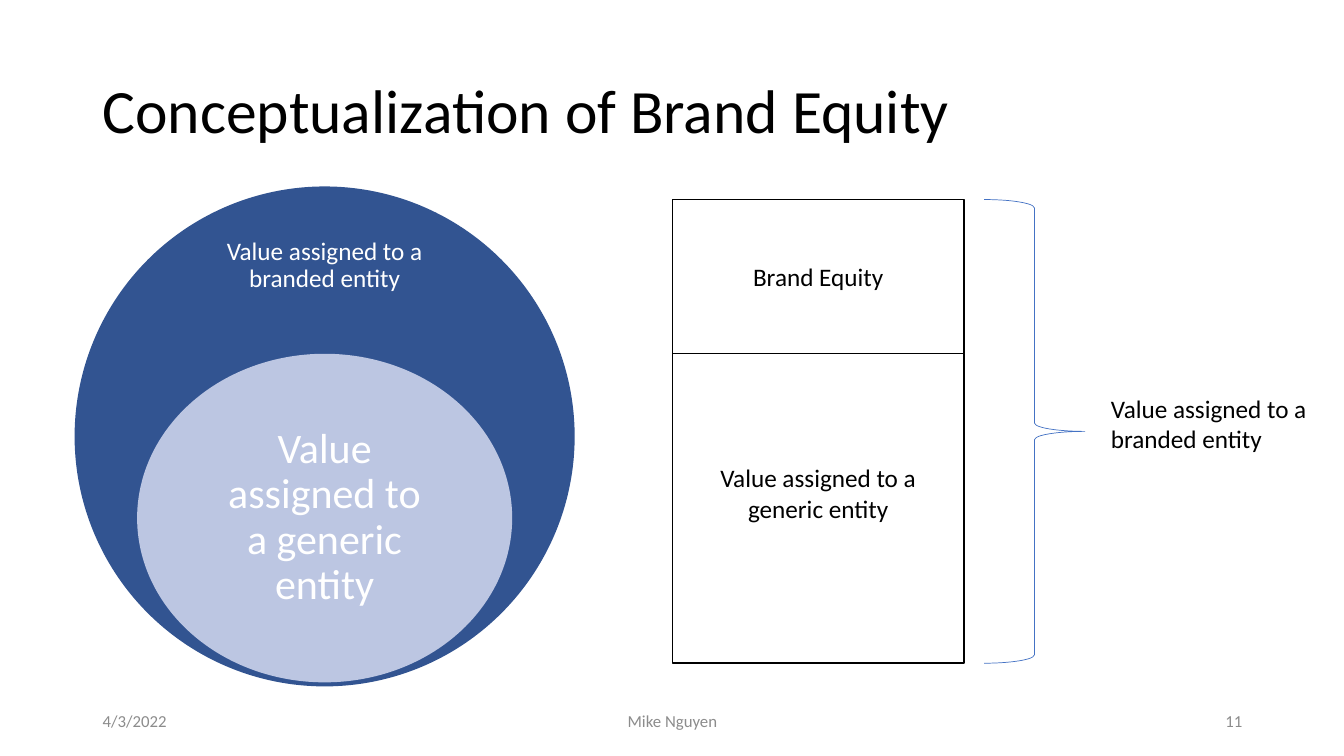
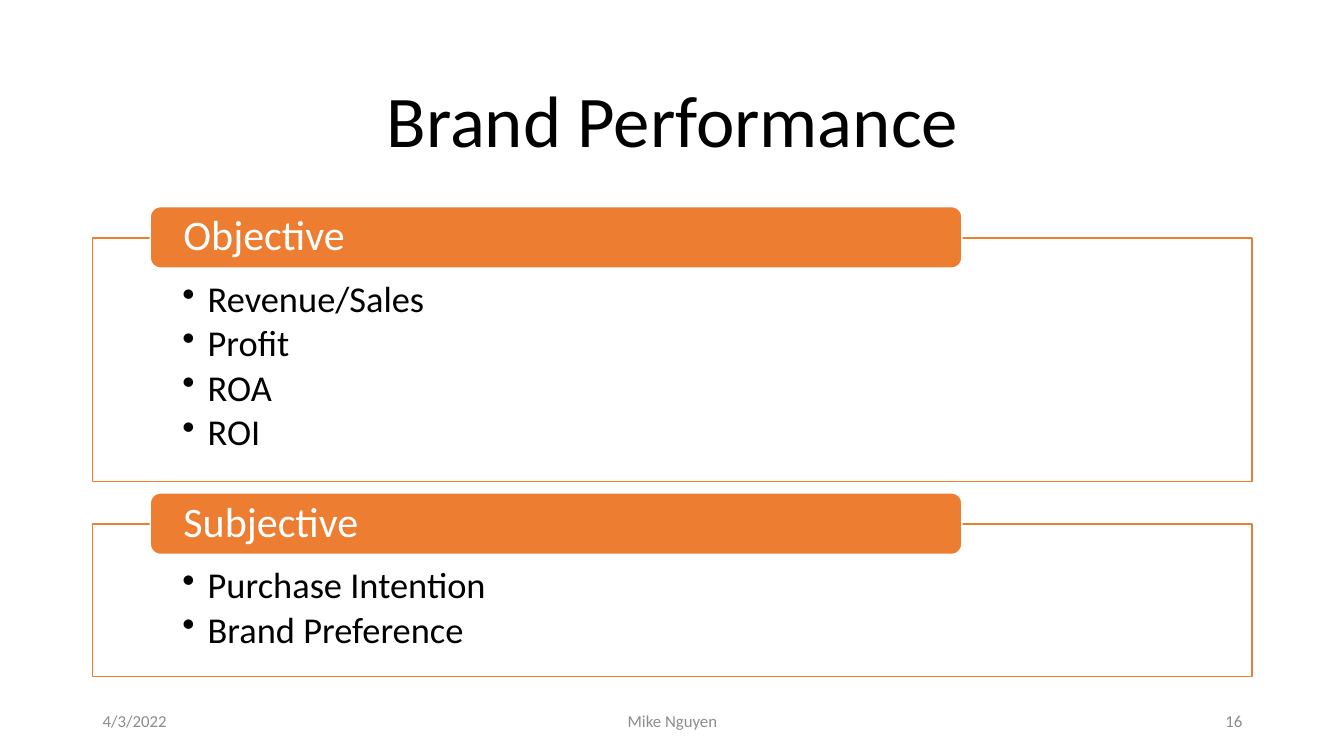
from pptx import Presentation
from pptx.dml.color import RGBColor
from pptx.enum.shapes import MSO_SHAPE as Shape
from pptx.enum.text import MSO_ANCHOR as Anchor, PP_ALIGN as Align
from pptx.oxml.ns import qn
from pptx.util import Pt
from lxml.etree import SubElement

COLORS = {
    "black": "000000", "white": "FFFFFF", "gray": "8C8C8C", "navy": "325491",
    "lavender": "BCC6E2", "blue": "4472C4", "orange": "ED7D31",
}
FONT = "Calibri"
EMU_PER_PX = 9144
SLIDE_SIZE = (1333, 750)
MARGIN = 92
CONTENT_WIDTH = 1150
DATE = "4/3/2022"
AUTHOR = "Mike Nguyen"


def px(length):
    return length * EMU_PER_PX


def color(name):
    return RGBColor.from_string(COLORS[name])


class Deck:
    """Hold the shared style and the slide being built."""

    def __init__(self):
        self.presentation = Presentation()
        self.presentation.slide_width, self.presentation.slide_height = map(px, SLIDE_SIZE)
        self.slide = None

    def new_slide(self, title, number, top=40, size=44, align=Align.LEFT):
        self.slide = self.presentation.slides.add_slide(self.presentation.slide_layouts[6])
        self.text(title, (MARGIN, top, CONTENT_WIDTH, 185 - top), size, align=align, spacing=0.9)
        footers = [
            (DATE, MARGIN, 300, Align.LEFT),
            (AUTHOR, 442, 450, Align.CENTER),
            (str(number), 942, 300, Align.RIGHT),
        ]
        for text, left, width, side in footers:
            self.text(text, (left, 695, width, 40), 12, "gray", side)

    def text(self, text, box, size, ink="black", align=Align.LEFT, **style):
        textbox = self.slide.shapes.add_textbox(*map(px, box))
        self.set_text(textbox, [text], size, ink, align, **style)

    def shape(self, kind, box, fill=None, line=None, line_width=1):
        shape = self.slide.shapes.add_shape(kind, *map(px, box))
        shape.shadow.inherit = False
        if fill:
            shape.fill.solid()
            shape.fill.fore_color.rgb = color(fill)
        else:
            shape.fill.background()
        if line:
            shape.line.color.rgb = color(line)
            shape.line.width = Pt(line_width)
        else:
            shape.line.fill.background()
        return shape

    def set_text(self, shape, lines, size, ink="black", align=Align.LEFT, anchor=Anchor.MIDDLE,
                 insets=(10, 5, 10, 5), spacing=1.0, after=0, bullets=False):
        frame = shape.text_frame
        frame.word_wrap = True
        frame.vertical_anchor = anchor
        frame.margin_left, frame.margin_top, frame.margin_right, frame.margin_bottom = map(px, insets)
        frame.text = "\n".join(lines)
        for paragraph in frame.paragraphs:
            if bullets:
                self.bullet(paragraph)
            paragraph.alignment = align
            paragraph.line_spacing = spacing
            paragraph.space_after = Pt(after)
            for run in paragraph.runs:
                run.font.name = FONT
                run.font.size = Pt(size)
                run.font.color.rgb = color(ink)

    def bullet(self, paragraph, indent=25):
        properties = paragraph._p.get_or_add_pPr()
        properties.set("marL", str(px(indent)))
        properties.set("indent", str(-px(indent)))
        SubElement(properties, qn("a:buChar")).set("char", "•")

    def cell(self, text, box, insets=(10, 5, 10, 5)):
        cell = self.shape(Shape.RECTANGLE, box, "white", "black")
        self.set_text(cell, [text], 18, align=Align.CENTER, insets=insets)

    def panel(self, heading, items, top, height):
        body = self.shape(Shape.RECTANGLE, (MARGIN, top, CONTENT_WIDTH, height), "white", "orange")
        self.set_text(body, items, 26, anchor=Anchor.TOP, insets=(89, 43, 89, 20),
                      spacing=0.9, after=3.6, bullets=True)
        tab = self.shape(Shape.ROUNDED_RECTANGLE, (149, top - 31, 805, 61), "orange", "white")
        self.set_text(tab, [heading], 30, "white", insets=(30, 0, 30, 0), spacing=0.9)


def build_brand_equity(deck):
    branded = "Value assigned to a branded entity"
    generic = "Value assigned to a generic entity"
    deck.new_slide("Conceptualization of Brand Equity", 11)

    deck.shape(Shape.OVAL, (74, 185, 496, 496), "navy")
    deck.text(branded, (192, 222, 260, 84), 18, "white", Align.CENTER,
              insets=(14, 14, 14, 14), spacing=0.9)
    inner_circle = deck.shape(Shape.OVAL, (136, 351, 372, 326), "lavender")
    deck.set_text(inner_circle, [generic], 30, "white", Align.CENTER,
                  insets=(23, 23, 23, 23), spacing=0.9)

    left, top, width = 667, 198, 289
    equity_height, generic_height = 153, 307
    deck.cell("Brand Equity", (left, top, width, equity_height))
    deck.cell(generic, (left, top + equity_height, width, generic_height), (10, 5, 10, 36))
    deck.shape(Shape.RIGHT_BRACE, (976, top, 100, equity_height + generic_height),
               line="blue", line_width=0.5)
    deck.text(branded, (1092, 385, 227, 71), 18, anchor=Anchor.TOP)


def build_brand_performance(deck):
    deck.new_slide("Brand Performance", 16, top=61, size=52, align=Align.CENTER)
    deck.panel("Objective", ["Revenue/Sales", "Profit", "ROA", "ROI"], 236, 242)
    deck.panel("Subjective", ["Purchase Intention", "Brand Preference"], 520, 151)


def main():
    deck = Deck()
    build_brand_equity(deck)
    build_brand_performance(deck)
    deck.presentation.save("out.pptx")


if __name__ == "__main__":
    main()
